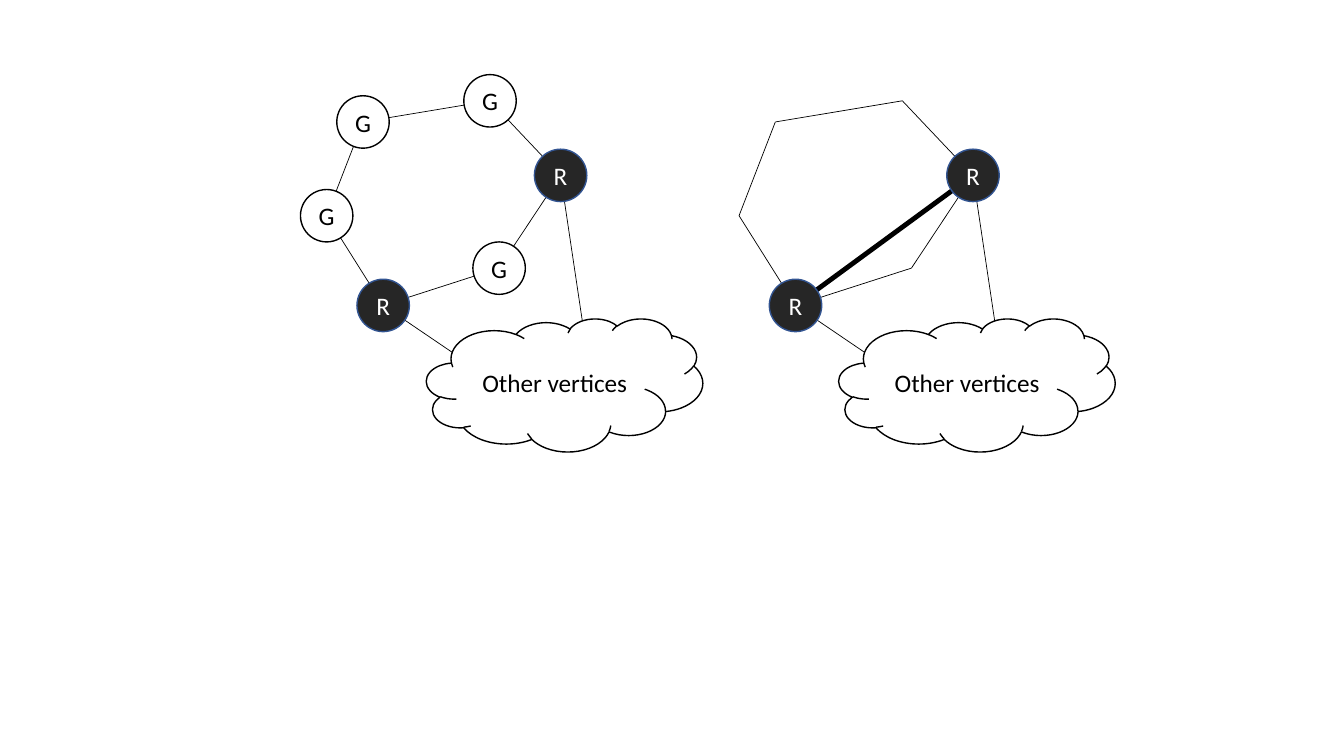
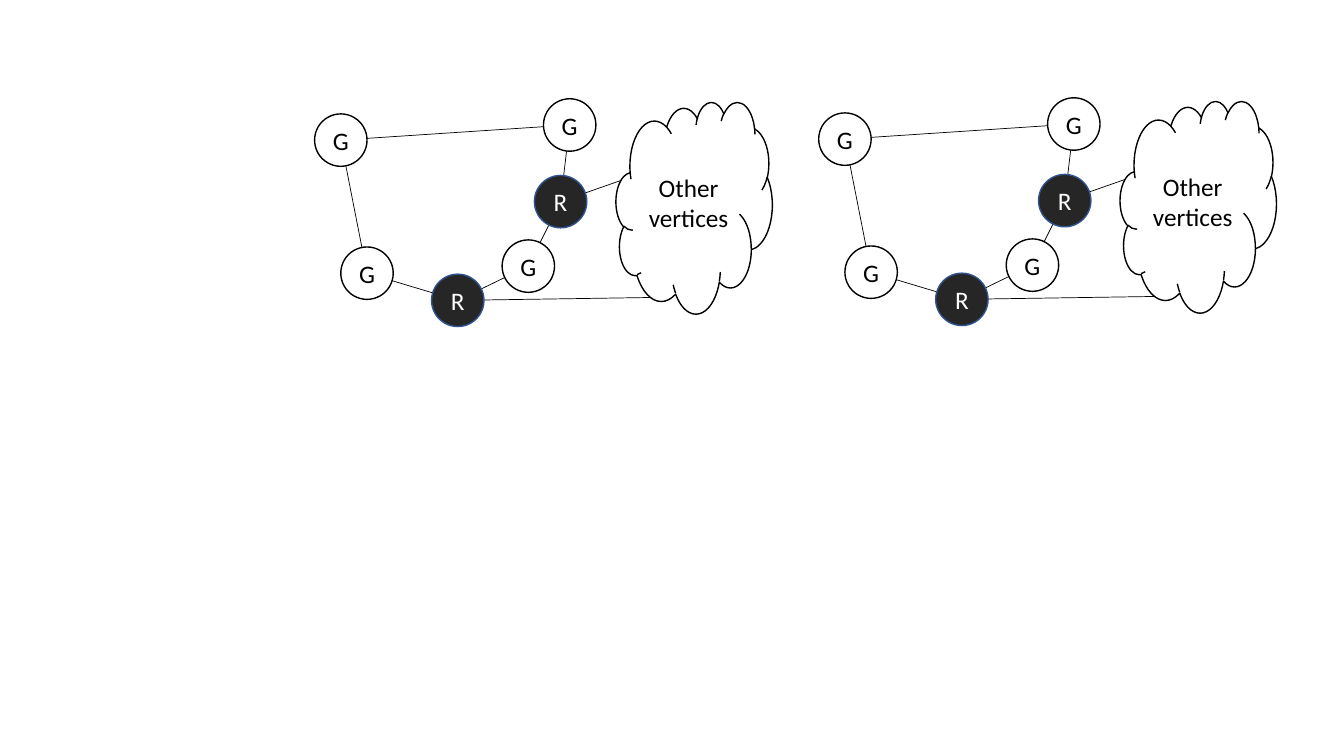
from pptx import Presentation
from pptx.dml.color import RGBColor
from pptx.enum.shapes import MSO_CONNECTOR, MSO_SHAPE
from pptx.enum.text import MSO_ANCHOR, PP_ALIGN
from pptx.oxml.ns import qn
from pptx.util import Inches, Pt
from lxml import etree

LINE = MSO_CONNECTOR.STRAIGHT
OVAL, CLOUD = MSO_SHAPE.OVAL, MSO_SHAPE.CLOUD
MIDDLE, CENTER = MSO_ANCHOR.MIDDLE, PP_ALIGN.CENTER
COLORS = {"ink": "000000", "paper": "FFFFFF", "dark": "262626", "rim": "325491"}
STYLES = {"R": ("dark", "rim", "paper"), "G": ("paper", "ink", "ink")}
SIZE = 0.52


def add_edge(slide, start, end, width=0.5):
    edge = slide.shapes.add_connector(LINE, *[Inches(v) for v in (*start, *end)])
    edge.line.color.rgb = RGBColor.from_string(COLORS["ink"])
    edge.line.width = Pt(width)
    etree.SubElement(edge._element.spPr, qn("a:effectLst"))


def add_node(slide, kind, box, text, style):
    fill, line, ink = [RGBColor.from_string(COLORS[name]) for name in style]
    node = slide.shapes.add_shape(kind, *[Inches(v) for v in box])
    node.shadow.inherit = False
    node.fill.solid()
    node.fill.fore_color.rgb = fill
    node.line.color.rgb = line
    node.line.width = Pt(1)
    frame = node.text_frame
    frame.word_wrap = True
    frame.vertical_anchor = MIDDLE
    frame.text = text
    para = frame.paragraphs[0]
    para.alignment = CENTER
    font = para.runs[0].font
    font.name, font.size, font.color.rgb = "Calibri", Pt(18), ink


graphs = [
    {
        "ring": [("R", 3.8, 3.03), ("G", 3.24, 2.14), ("G", 3.6, 1.21),
                 ("G", 4.86, 1), ("R", 5.56, 1.74), ("G", 4.95, 2.66)],
        "links": [(4.86, 3.75), (5.82, 3.48)],
        "cloud": (4.23, 3.16, 2.74, 1.32),
        "views": [(0, 0, "RG", False), (4.09, 0, "R", True)],
    },
    {
        "ring": [("R", 4.54, 2.98), ("G", 3.64, 2.71), ("G", 3.38, 1.39),
                 ("G", 5.65, 1.24), ("R", 5.56, 2), ("G", 5.24, 2.64)],
        "links": [(6.54, 2.95), (6.73, 1.59)],
        "cloud": (6.11, 1.01, 1.55, 2.1),
        "views": [(0, 0, "RG", False), (5, -0.01, "RG", False)],
    },
]

deck = Presentation()
deck.slide_width, deck.slide_height = Inches(13.33), Inches(7.5)

for graph in graphs:
    slide = deck.slides.add_slide(deck.slide_layouts[6])
    for dx, dy, shown, chord in graph["views"]:
        ring = [(kind, x + dx, y + dy) for kind, x, y in graph["ring"]]
        spots = [(x, y) for kind, x, y in ring]
        roots = [(x, y) for kind, x, y in ring if kind == "R"]
        if chord:
            add_edge(slide, *roots, 3.5)
        for root, (x, y) in zip(roots, graph["links"]):
            add_edge(slide, root, (x + dx, y + dy))
        for start, end in zip(spots, spots[1:] + spots[:1]):
            add_edge(slide, start, end)
        for kind, x, y in ring:
            if kind in shown:
                box = (x - SIZE / 2, y - SIZE / 2, SIZE, SIZE)
                add_node(slide, OVAL, box, kind, STYLES[kind])
        x, y, wide, high = graph["cloud"]
        add_node(slide, CLOUD, (x + dx, y + dy, wide, high), "Other vertices", STYLES["G"])

deck.save("out.pptx")
